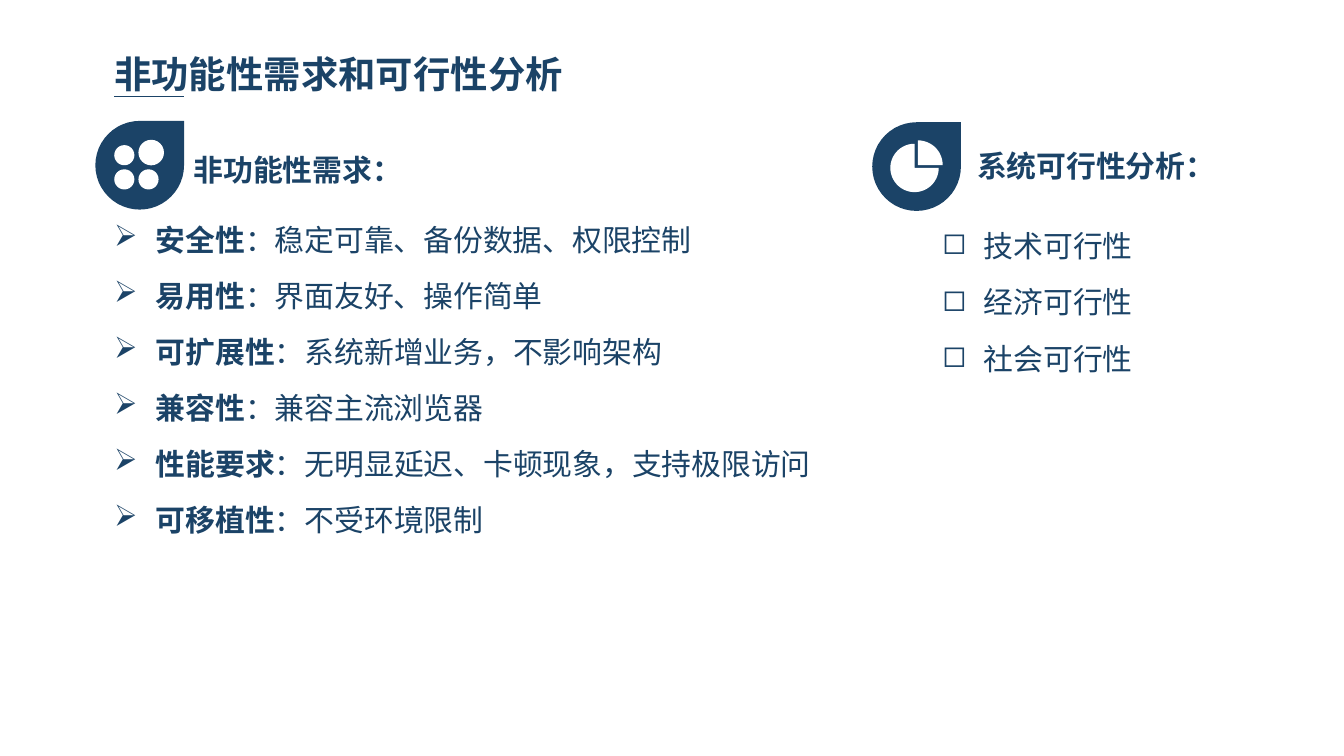
from math import cos, radians, sin

from lxml.etree import SubElement
from pptx import Presentation
from pptx.dml.color import RGBColor
from pptx.enum.shapes import MSO_CONNECTOR, MSO_SHAPE as SHAPE
from pptx.oxml.ns import qn
from pptx.util import Pt

PX = 4572
FONT = "Noto Sans CJK SC"
COLORS = {"navy": "1B4367", "white": "FFFFFF"}
NEEDS = [
    ("安全性", "：稳定可靠、备份数据、权限控制"),
    ("易用性", "：界面友好、操作简单"),
    ("可扩展性", "：系统新增业务，不影响架构"),
    ("兼容性", "：兼容主流浏览器"),
    ("性能要求", "：无明显延迟、卡顿现象，支持极限访问"),
    ("可移植性", "：不受环境限制"),
]
FEASIBILITY = [("", "技术可行性"), ("", "经济可行性"), ("", "社会可行性")]


def px(*values):
    return [round(v * PX) for v in values]


def rgb(name):
    return RGBColor.from_string(COLORS[name])


def paint(sp, color):
    sp.shadow.inherit = False
    sp.fill.solid()
    sp.fill.fore_color.rgb = rgb(color)
    sp.line.fill.background()


def add_shape(shapes, kind, box, color):
    paint(shapes.add_shape(kind, *px(*box)), color)


def add_sector(shapes, cx, cy, radius, start, end):
    arc = [(cx + radius * cos(radians(a)), cy + radius * sin(radians(a)))
           for a in range(start, end + 1, 5)]
    fb = shapes.build_freeform(*px(cx, cy), scale=1.0)
    fb.add_line_segments([px(*point) for point in arc], close=True)
    paint(fb.convert_to_shape(), "white")


def add_run(p, text, size, bold):
    r = p.add_run()
    r.text = text
    r.font.name = FONT
    r.font.size = Pt(size)
    r.font.bold = bold
    r.font.color.rgb = rgb("navy")
    SubElement(r.font._element, qn("a:ea"), typeface=FONT)


def add_frame(s, box):
    tf = s.shapes.add_textbox(*px(*box)).text_frame
    tf.word_wrap = True
    tf.margin_left, tf.margin_top, tf.margin_right, tf.margin_bottom = px(14, 8, 14, 8)
    return tf


def space_lines(p):
    p.line_spacing = 1.4
    before = SubElement(p._p.get_or_add_pPr(), qn("a:spcBef"))
    SubElement(before, qn("a:spcPct"), val="20000")


def add_title(s, x, y, w, h):
    tf = add_frame(s, (x, y, w, h))
    add_run(tf.paragraphs[0], "非功能性需求和可行性分析", 20, True)
    rule = s.shapes.add_connector(
        MSO_CONNECTOR.STRAIGHT, *px(x + 14, y + 76, x + 118, y + 76))
    rule.line.color.rgb = rgb("navy")
    rule.line.width = Pt(0.75)
    SubElement(rule._element.spPr, qn("a:effectLst"))


def add_heading(s, box, text):
    p = add_frame(s, box).paragraphs[0]
    space_lines(p)
    add_run(p, text, 16, True)


def add_list(s, box, items, bullet):
    tf = add_frame(s, box)
    indent = px(62)[0]
    for i, (label, detail) in enumerate(items):
        p = tf.add_paragraph() if i else tf.paragraphs[0]
        space_lines(p)
        pPr = p._p.get_or_add_pPr()
        pPr.set("marL", str(indent))
        pPr.set("indent", str(-indent))
        SubElement(pPr, qn("a:buChar"), char=bullet)
        if label:
            add_run(p, label, 16, True)
        add_run(p, detail, 16, False)


def add_dots_icon(s, x, y, size):
    shapes = s.shapes.add_group_shape().shapes
    add_shape(shapes, SHAPE.TEAR, (x, y, size, size), "navy")
    for dx, dy, d in [(28, 36, 30), (64, 28, 38), (28, 72, 30), (64, 72, 30)]:
        add_shape(shapes, SHAPE.OVAL, (x + dx, y + dy, d, d), "white")


def add_pie_icon(s, x, y, size):
    shapes = s.shapes.add_group_shape().shapes
    add_shape(shapes, SHAPE.TEAR, (x, y, size, size), "navy")
    add_sector(shapes, x + 63, y + 68, 36, 0, 270)
    add_sector(shapes, x + 68, y + 64, 37, 270, 360)


def add_needs(s, x, y):
    add_list(s, (x + 14, y + 120, 1112, 524), NEEDS, "➢")
    add_dots_icon(s, x, y, 132)
    add_heading(s, (x + 132, y + 16, 458, 102), "非功能性需求：")


def add_feasibility(s, x, y):
    add_list(s, (x + 90, y + 128, 372, 270), FEASIBILITY, "◻")
    add_heading(s, (x + 142, y + 8, 420, 110), "系统可行性分析：")
    add_pie_icon(s, x, y, 132)


def main():
    prs = Presentation()
    prs.slide_width, prs.slide_height = px(2000, 1125)
    s = prs.slides.add_slide(prs.slide_layouts[6])
    add_title(s, 156, 68, 902, 82)
    add_needs(s, 142, 180)
    add_feasibility(s, 1298, 182)
    prs.save("out.pptx")


if __name__ == "__main__":
    main()
